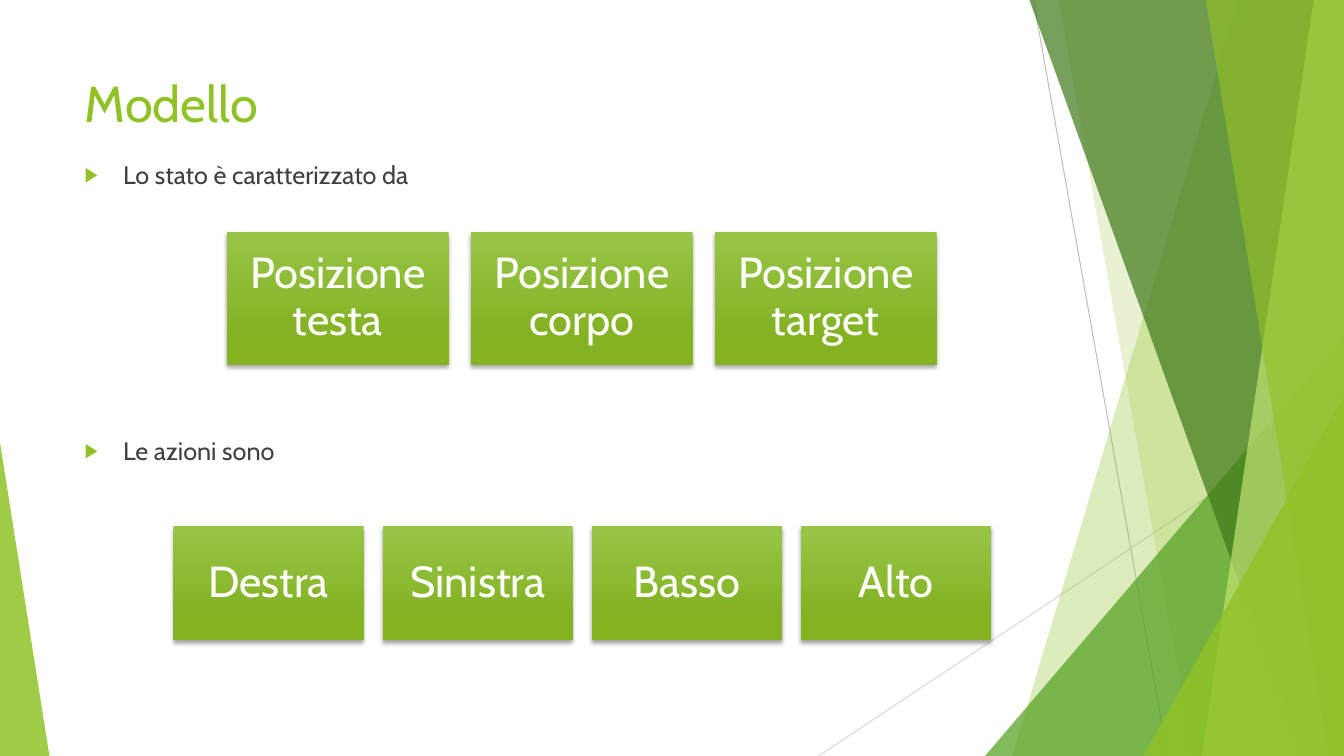
from dataclasses import dataclass

from lxml import etree
from pptx import Presentation
from pptx import util as u
from pptx.dml import color as dml
from pptx.enum import shapes, text
from pptx.oxml import ns


@dataclass(frozen=True)
class Theme:
    font: str = "Cabin"
    green: str = "90C226"
    leaf: str = "54A021"
    forest: str = "3F7819"
    lime: str = "C0E474"
    tile_top: str = "97C547"
    tile_bottom: str = "84B223"
    body: str = "404040"
    white: str = "FFFFFF"
    shadow: str = "000000"
    line_dark: str = "BFBFBF"
    line_light: str = "D9D9D9"
    title_size: int = 36
    body_size: int = 18
    tile_size: int = 31


THEME = Theme()
WIDTH, HEIGHT = 13.33, 7.5


def rgb(value):
    return dml.RGBColor.from_string(value)


def add_element(parent, tag, **attributes):
    element = etree.SubElement(parent, ns.qn(tag))
    for name, value in attributes.items():
        element.set(name, str(value))
    return element


def place(shape, box):
    shape.left, shape.top, shape.width, shape.height = map(u.Inches, box)


def write(paragraph, words, size, color):
    run = paragraph.add_run()
    run.text = words
    run.font.name = THEME.font
    run.font.size = u.Pt(size)
    run.font.color.rgb = rgb(color)


def paint_glass(shape, color, opacity):
    shape.shadow.inherit = False
    shape.fill.solid()
    shape.fill.fore_color.rgb = rgb(color)
    shape.line.fill.background()
    tint = shape._element.spPr.find(".//" + ns.qn("a:srgbClr"))
    add_element(tint, "a:alpha", val=opacity * 1000)


def add_thin_line(group, start, end, color):
    points = [u.Inches(value) for value in (*start, *end)]
    line = group.shapes.add_connector(shapes.MSO_CONNECTOR.STRAIGHT, *points)
    line.line.color.rgb = rgb(color)
    line.line.width = u.Pt(0.75)
    add_element(line._element.spPr, "a:effectLst")


def add_band(group, top_left, bottom_left, color, opacity):
    corners = [(top_left, 0), (WIDTH, 0), (WIDTH, HEIGHT), (bottom_left, HEIGHT)]
    points = [(u.Inches(x), u.Inches(y)) for x, y in corners]
    builder = group.shapes.build_freeform(*points[0], scale=1.0)
    builder.add_line_segments(points[1:], close=True)
    paint_glass(builder.convert_to_shape(), color, opacity)


def add_wedge(group, left, top, width, apex, color, opacity):
    box = map(u.Inches, (left, top, width, HEIGHT - top))
    wedge = group.shapes.add_shape(shapes.MSO_SHAPE.ISOSCELES_TRIANGLE, *box)
    wedge.adjustments[0] = apex
    paint_glass(wedge, color, opacity)


def add_facets(slide):
    group = slide.shapes.add_group_shape()
    add_thin_line(group, (10.25, 0), (11.58, HEIGHT), THEME.line_dark)
    add_thin_line(group, (WIDTH, 4.03), (8.12, HEIGHT), THEME.line_light)
    add_band(group, 12.28, 10.04, THEME.green, 30)
    add_band(group, 10.5, 11.83, THEME.green, 20)
    add_wedge(group, 9.77, 3.33, 3.56, 1, THEME.leaf, 72)
    add_band(group, 10.21, 12.91, THEME.forest, 70)
    add_band(group, 13.03, 11.92, THEME.lime, 70)
    add_band(group, 11.96, 13.18, THEME.green, 65)
    add_wedge(group, 11.34, 3.93, 1.99, 1, THEME.green, 80)
    add_wedge(group, 0, 4.39, 0.49, 0, THEME.green, 85)
    slide.shapes._spTree.insert(2, group._element)


def fill_title(placeholder, box, words):
    place(placeholder, box)
    frame = placeholder.text_frame
    frame.auto_size = text.MSO_AUTO_SIZE.NONE
    frame.vertical_anchor = text.MSO_ANCHOR.TOP
    paragraph = frame.paragraphs[0]
    paragraph.alignment = text.PP_ALIGN.LEFT
    write(paragraph, words, THEME.title_size, THEME.green)


def fill_bullet(placeholder, box, words):
    place(placeholder, box)
    frame = placeholder.text_frame
    frame.auto_size = text.MSO_AUTO_SIZE.NONE
    frame.vertical_anchor = text.MSO_ANCHOR.TOP
    paragraph = frame.paragraphs[0]
    properties = paragraph._p.get_or_add_pPr()
    properties.set("marL", str(u.Inches(0.38)))
    properties.set("indent", str(u.Inches(-0.38)))
    bullet_color = add_element(properties, "a:buClr")
    add_element(bullet_color, "a:srgbClr", val=THEME.green)
    add_element(properties, "a:buSzPct", val=80000)
    add_element(properties, "a:buChar", char="▶")
    paragraph.space_before = u.Pt(0)
    write(paragraph, words, THEME.body_size, THEME.body)


def add_tile(group, box, words):
    tile = group.shapes.add_shape(shapes.MSO_SHAPE.RECTANGLE, *map(u.Inches, box))
    tile.fill.gradient()
    tile.fill.gradient_angle = 270
    stops = ((0, THEME.tile_top), (0.78, THEME.tile_bottom))
    for stop, (position, color) in zip(tile.fill.gradient_stops, stops):
        stop.position = position
        stop.color.rgb = rgb(color)
    tile.line.fill.background()
    tile.shadow.inherit = False
    effects = tile._element.spPr.find(ns.qn("a:effectLst"))
    shadow = add_element(effects, "a:outerShdw", blurRad=u.Pt(3), dist=u.Pt(2),
                         dir=5400000, rotWithShape=0)
    shade = add_element(shadow, "a:srgbClr", val=THEME.shadow)
    add_element(shade, "a:alpha", val=35000)

    frame = tile.text_frame
    frame.word_wrap = True
    frame.vertical_anchor = text.MSO_ANCHOR.MIDDLE
    frame.margin_left = frame.margin_right = u.Inches(0.13)
    frame.margin_top = frame.margin_bottom = u.Inches(0.13)
    paragraph = frame.paragraphs[0]
    paragraph.alignment = text.PP_ALIGN.CENTER
    paragraph.line_spacing = 0.9
    write(paragraph, words, THEME.tile_size, THEME.white)


def add_tile_row(slide, left, top, width, labels):
    group = slide.shapes.add_group_shape()
    tile_width = width / (len(labels) + 0.1 * (len(labels) - 1))
    for index, label in enumerate(labels):
        x = left + index * tile_width * 1.1
        add_tile(group, (x, top, tile_width, tile_width * 0.6), label)


def build_model_slide(presentation):
    slide = presentation.slides.add_slide(presentation.slide_layouts[3])
    title, state, actions = slide.placeholders
    add_facets(slide)
    fill_title(title, (0.74, 0.67, 9.4, 0.98), "Modello")
    fill_bullet(state, (0.74, 1.53, 9.4, 0.58), "Lo stato è caratterizzato da")
    add_tile_row(slide, 2.25, 2.3, 7.04,
                 ["Posizione testa", "Posizione corpo", "Posizione target"])
    fill_bullet(actions, (0.74, 4.27, 9.4, 0.58), "Le azioni sono")
    add_tile_row(slide, 1.72, 5.22, 8.11, ["Destra", "Sinistra", "Basso", "Alto"])


def main():
    presentation = Presentation()
    presentation.slide_width = u.Inches(WIDTH)
    presentation.slide_height = u.Inches(HEIGHT)
    build_model_slide(presentation)
    presentation.save("out.pptx")


if __name__ == "__main__":
    main()
